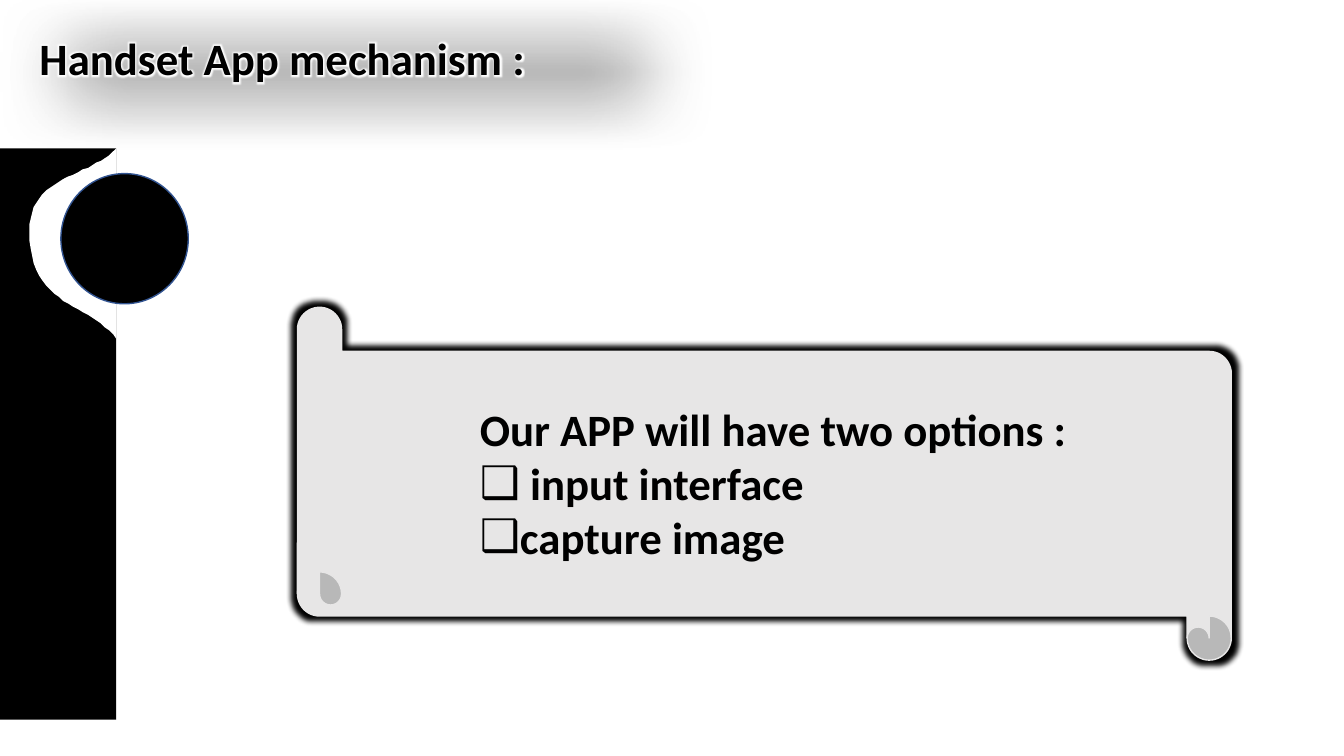
from dataclasses import dataclass

from lxml.etree import SubElement
from pptx import Presentation
from pptx.dml.color import RGBColor
from pptx.enum.shapes import MSO_SHAPE
from pptx.enum.text import MSO_ANCHOR, MSO_AUTO_SIZE, PP_ALIGN
from pptx.oxml.ns import qn
from pptx.util import Pt


@dataclass(frozen=True)
class Theme:
    ink: str = "000000"
    paper: str = "FFFFFF"
    scroll: str = "E7E6E6"
    outline: str = "325491"
    font: str = "Calibri"
    size: int = 32


def add_child(parent, tag, **attributes):
    values = {name: str(value) for name, value in attributes.items()}
    return SubElement(parent, qn(tag), values)


def add_glow(effects, color, radius):
    glow = add_child(effects, "a:glow", rad=Pt(radius))
    add_child(glow, "a:srgbClr", val=color)


def add_span(para, text, *, font, size, color, bold=False, glow=None):
    span = para.add_run()
    span.text = text
    span.font.name = font
    span.font.size = Pt(size)
    span.font.bold = bold
    span.font.color.rgb = RGBColor.from_string(color)
    if glow:
        properties = span.font.fill._xPr
        effects = add_child(properties, "a:effectLst")
        add_glow(effects, glow, 5)
        properties.find(qn("a:latin")).addprevious(effects)


def curve(start, first, second, end, steps=24):
    """Return points along a cubic Bézier curve, without its start."""
    points = []
    for step in range(1, steps + 1):
        t = step / steps
        weights = ((1 - t) ** 3, 3 * t * (1 - t) ** 2, 3 * t * t * (1 - t), t ** 3)
        controls = (start, first, second, end)
        points.append(tuple(sum(w * p[axis] for w, p in zip(weights, controls))
                            for axis in (0, 1)))
    return points


class SlideBuilder:
    def __init__(self, page, theme):
        self.page = page
        self.theme = theme

    def paint(self, shape, fill, line=None):
        shape.shadow.inherit = False
        shape.fill.solid()
        shape.fill.fore_color.rgb = RGBColor.from_string(fill)
        if line:
            shape.line.color.rgb = RGBColor.from_string(line)
            shape.line.width = Pt(1)
        else:
            shape.line.fill.background()
        return shape

    def shape(self, kind, box, fill, line=None, rotation=0, adjustments=()):
        shape = self.page.shapes.add_shape(kind, *map(Pt, box))
        shape.rotation = rotation
        for index, value in enumerate(adjustments):
            shape.adjustments[index] = value
        return self.paint(shape, fill, line)

    def outline(self, points, fill):
        builder = self.page.shapes.build_freeform(*points[0], scale=Pt(1))
        builder.add_line_segments(points[1:], close=True)
        return self.paint(builder.convert_to_shape(), fill)

    def effects(self, shape):
        return shape.element.spPr.find(qn("a:effectLst"))

    def soft_shadow(self, shape, edge):
        effects = self.effects(shape)
        shadow = add_child(effects, "a:outerShdw", blurRad=Pt(3.5), dist=Pt(2.2),
                           dir=90 * 60000, algn="ctr", rotWithShape=0)
        color = add_child(shadow, "a:srgbClr", val=self.theme.ink)
        add_child(color, "a:alpha", val=32000)
        add_child(effects, "a:softEdge", rad=Pt(edge))

    def text(self, index, box, lines, glow=None):
        """Fill a placeholder; each line is a pair of text and bullet or None."""
        holder = self.page.placeholders[index]
        holder.left, holder.top, holder.width, holder.height = map(Pt, box)
        holder.element.getparent().append(holder.element)
        frame = holder.text_frame
        frame.word_wrap = True
        frame.auto_size = MSO_AUTO_SIZE.SHAPE_TO_FIT_TEXT
        frame.vertical_anchor = MSO_ANCHOR.TOP
        for number, (text, bullet) in enumerate(lines):
            para = frame.add_paragraph() if number else frame.paragraphs[0]
            para.alignment = PP_ALIGN.LEFT
            para.space_before = Pt(0)
            properties = para._p.get_or_add_pPr()
            indent = Pt(22.5) if bullet else 0
            properties.set("marL", str(indent))
            properties.set("indent", str(-indent))
            if bullet:
                add_child(properties, "a:buChar", char=bullet)
            else:
                add_child(properties, "a:buNone")
            add_span(para, text, font=self.theme.font, size=self.theme.size,
                     color=self.theme.ink, bold=True, glow=glow)


def main():
    deck = Presentation()
    deck.slide_width, deck.slide_height = Pt(960), Pt(540)
    theme = Theme()
    slide = SlideBuilder(deck.slides.add_slide(deck.slide_layouts[1]), theme)

    arrow = slide.shape(MSO_SHAPE.RIGHT_ARROW, (-1.5, -6.5, 597, 114), theme.ink,
                        adjustments=(0.97, 0.82))
    slide.soft_shadow(arrow, 50)
    slide.text(0, (21, 18, 405.5, 67.5), [("Handset App mechanism :", None)],
               glow=theme.paper)

    slide.shape(MSO_SHAPE.CAN, (0, 106, 83, 408), theme.ink, rotation=180,
                adjustments=(0,))
    bottom, middle, top = (83, 242), (21, 165), (83, 106)
    notch = [bottom,
             *curve(bottom, (66, 217), (20, 220), middle),
             *curve(middle, (20, 125), (66, 126), top)]
    slide.outline(notch, theme.paper)
    slide.shape(MSO_SHAPE.OVAL, (43.5, 124, 91, 93), theme.ink, theme.outline)

    scroll = slide.shape(MSO_SHAPE.VERTICAL_SCROLL, (420, 12, 252, 667),
                         theme.scroll, theme.scroll, rotation=270)
    add_glow(slide.effects(scroll), theme.ink, 8)
    slide.text(1, (335.5, 283.5, 461, 124), [
        ("Our APP will have two options :", None),
        (" input interface", "❑"),
        ("capture image", "❑"),
    ])
    deck.save("out.pptx")


if __name__ == "__main__":
    main()
